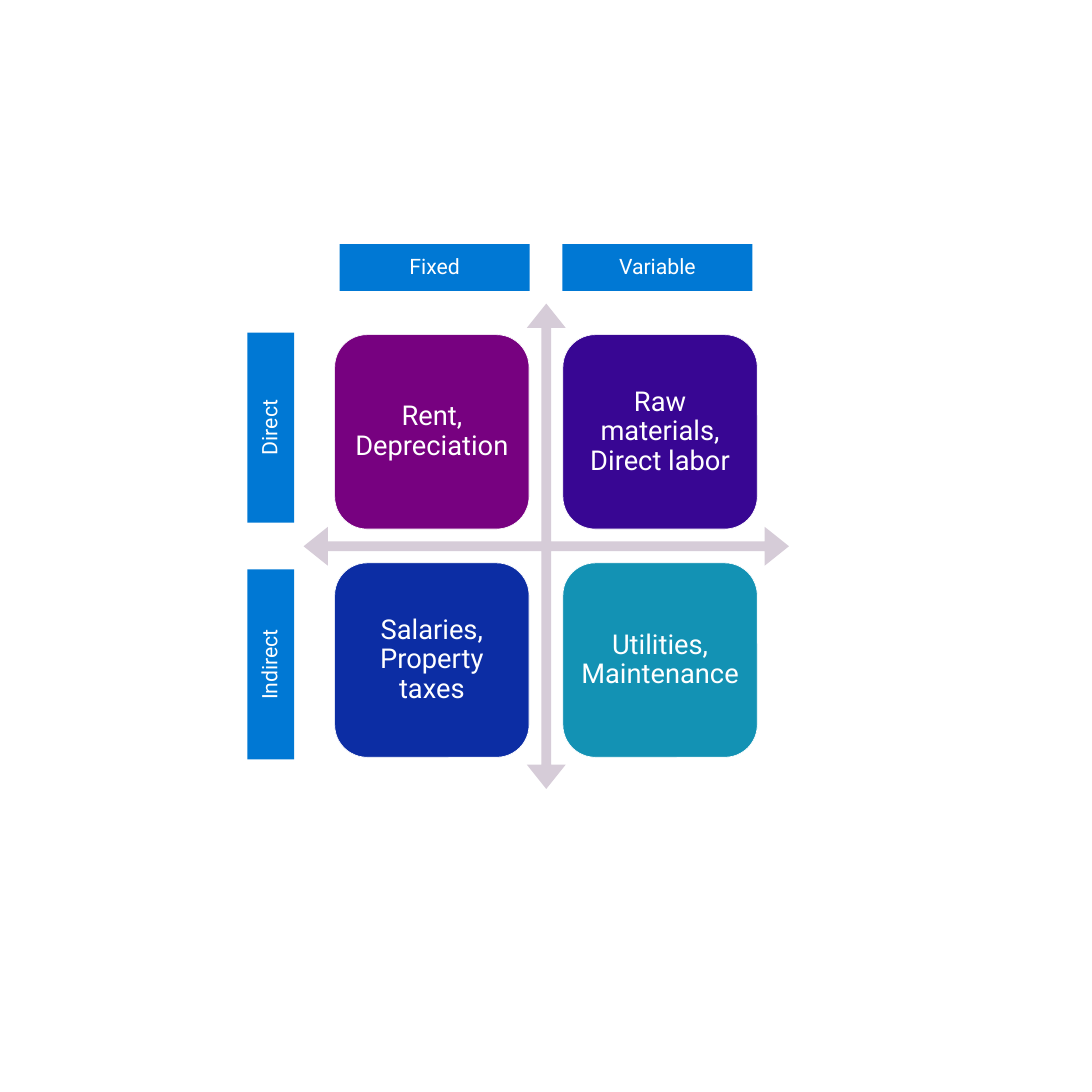
from pptx import Presentation
from pptx.dml.color import RGBColor
from pptx.enum.shapes import MSO_SHAPE
from pptx.enum.text import MSO_ANCHOR, PP_ALIGN
from pptx.util import Pt

EMU_PER_PX = 9144
SLIDE_SIZE = 2000
BLANK_LAYOUT = 6
QUAD_ARROW = MSO_SHAPE.QUAD_ARROW
ROUNDED = MSO_SHAPE.ROUNDED_RECTANGLE
RECTANGLE = MSO_SHAPE.RECTANGLE
TOP, MIDDLE = MSO_ANCHOR.TOP, MSO_ANCHOR.MIDDLE
CENTER = PP_ALIGN.CENTER

QUADRANT_STARTS = (613, 1031)
QUADRANTS = (
    (("Rent, Depreciation", "770180"), ("Raw materials, Direct labor", "380693")),
    (("Salaries, Property taxes", "0C2DA4"), ("Utilities, Maintenance", "1392B4")),
)
COLUMN_LABELS = (("Fixed", 622), ("Variable", 1030))
ROW_LABELS = (("Direct", 740), ("Indirect", 1174))


def px(length):
    return length * EMU_PER_PX


def color(value):
    return RGBColor.from_string(value)


def set_attributes(target, values):
    for name, value in values.items():
        setattr(target, name, value)


class CostMatrix:
    """Draws the elements of a cost matrix on one slide in a shared style."""

    font_name = "Roboto"
    text_color = "FFFFFF"
    arrow_color = "D6CCD8"
    label_color = "0078D4"

    def __init__(self, slide):
        self.slide = slide

    def add_shape(self, kind, box, fill):
        shape = self.slide.shapes.add_shape(kind, *map(px, box))
        shape.shadow.inherit = False
        shape.fill.solid()
        shape.fill.fore_color.rgb = color(fill)
        shape.line.fill.background()
        return shape

    def add_text(self, shape, text, size, anchor, insets, line_spacing):
        side, end = map(px, insets)
        set_attributes(shape.text_frame, {
            "word_wrap": True, "vertical_anchor": anchor,
            "margin_left": side, "margin_right": side,
            "margin_top": end, "margin_bottom": end,
        })
        paragraph = shape.text_frame.paragraphs[0]
        set_attributes(paragraph, {
            "text": text, "alignment": CENTER, "line_spacing": line_spacing,
        })
        set_attributes(paragraph.font, {"name": self.font_name, "size": Pt(size)})
        paragraph.font.color.rgb = color(self.text_color)

    def add_axes(self):
        shape = self.add_shape(QUAD_ARROW, (556, 556, 889, 889), self.arrow_color)
        for index, value in enumerate((0.02, 0.04, 0.05)):
            shape.adjustments[index] = value

    def add_quadrant(self, text, left, top, fill):
        shape = self.add_shape(ROUNDED, (left, top, 356, 356), fill)
        shape.line.color.rgb = color(self.text_color)
        shape.line.width = Pt(0.85)
        self.add_text(shape, text, 36, MIDDLE, (15, 15), 0.9)

    def add_label(self, text, left, top, rotation=0):
        shape = self.add_shape(RECTANGLE, (left, top, 348, 86), self.label_color)
        shape.rotation = rotation
        self.add_text(shape, text, 28, TOP, (20, 16), 1.0)


def main():
    presentation = Presentation()
    set_attributes(presentation, {
        "slide_width": px(SLIDE_SIZE), "slide_height": px(SLIDE_SIZE),
    })
    slide = presentation.slides.add_slide(presentation.slide_layouts[BLANK_LAYOUT])
    matrix = CostMatrix(slide)
    matrix.add_axes()
    for top, row in zip(QUADRANT_STARTS, QUADRANTS):
        for left, (text, fill) in zip(QUADRANT_STARTS, row):
            matrix.add_quadrant(text, left, top, fill)
    for text, left in COLUMN_LABELS:
        matrix.add_label(text, left, 447)
    for text, top in ROW_LABELS:
        matrix.add_label(text, 322, top, rotation=270)
    presentation.save("out.pptx")


if __name__ == "__main__":
    main()
